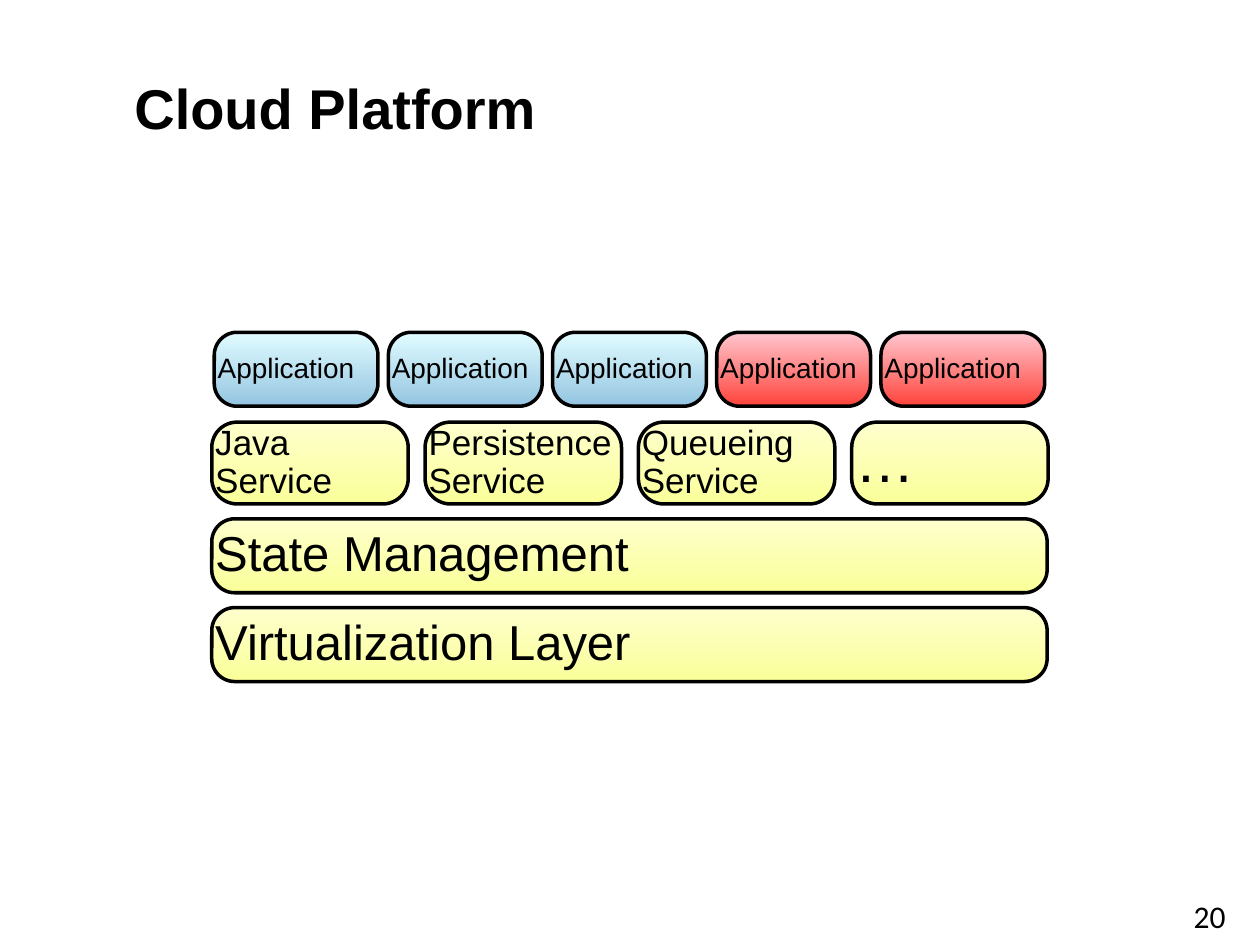
from pptx import Presentation
from pptx import util as u
from pptx.dml.color import RGBColor
from pptx.enum import shapes, text

COLORS = {"ink": "000000"}
GRADIENTS = {
    "blue": {"top": "E1FCFF", "bottom": "94C5E1"},
    "red": {"top": "FFC7CF", "bottom": "FF443C"},
    "yellow": {"top": "FEFFCC", "bottom": "FAFF99"},
}

# Each block: lines, font size, gradient, width in cm
APPLICATIONS = [
    (["Application"], 16, tone, width)
    for tone, width in [("blue", 3.3), ("blue", 3.1), ("blue", 3.1),
                        ("red", 3.1), ("red", 3.3)]
]
SERVICES = [
    (["Java", "Service"], 20, "yellow", 3.96),
    (["Persistence", "Service"], 20, "yellow", 3.96),
    (["Queueing", "Service"], 20, "yellow", 3.96),
    (["…"], 34, "yellow", 3.96),
]
STATE = [(["State Management"], 28, "yellow", 16.84)]
VIRTUALIZATION = [(["Virtualization Layer"], 28, "yellow", 16.84)]

# Each tier: blocks, left, top, height, gap in cm
TIERS = [
    (APPLICATIONS, 4.32, 6.7, 1.49, 0.21),
    (SERVICES, 4.27, 8.51, 1.65, 0.34),
    (STATE, 4.27, 10.46, 1.49, 0),
    (VIRTUALIZATION, 4.27, 12.25, 1.49, 0),
]
CORNER = 0.31
LABEL_INSET = 0.07

HEADING_FRAME = {"margin_left": u.Cm(0.25), "margin_right": u.Cm(0.25),
                 "margin_top": u.Cm(0.13), "margin_bottom": u.Cm(0.13)}
LABEL_FRAME = {"margin_left": 0, "margin_right": 0,
               "margin_top": 0, "margin_bottom": 0}


def rgb(name):
    return RGBColor.from_string(COLORS[name])


def set_all(target, values):
    for key, value in values.items():
        setattr(target, key, value)


def add_text(parent, box, lines, frame_format, font_format, paragraph_format,
             anchor=text.MSO_ANCHOR.MIDDLE):
    frame = parent.add_textbox(*map(u.Cm, box)).text_frame
    set_all(frame, {"word_wrap": True, "vertical_anchor": anchor, **frame_format})
    frame.text = "\n".join(lines)
    for paragraph in frame.paragraphs:
        set_all(paragraph, paragraph_format)
        for run in paragraph.runs:
            set_all(run.font, font_format)
            run.font.color.rgb = rgb("ink")


def add_block(slide, left, top, width, height, lines, size, tone):
    """Group a rounded gradient box with its label."""
    block = slide.shapes.add_group_shape().shapes
    box = block.add_shape(shapes.MSO_SHAPE.ROUNDED_RECTANGLE,
                          *map(u.Cm, (left, top, width, height)))
    box.adjustments[0] = CORNER
    box.shadow.inherit = False
    box.fill.gradient()
    box.fill.gradient_angle = 270
    for stop, color in zip(box.fill.gradient_stops, GRADIENTS[tone].values()):
        stop.color.rgb = RGBColor.from_string(color)
    box.line.color.rgb = rgb("ink")
    box.line.width = u.Pt(2)
    label = (left + LABEL_INSET, top, width - 2 * LABEL_INSET, height)
    add_text(block, label, lines, LABEL_FRAME,
             {"name": "Arial", "size": u.Pt(size)},
             {"line_spacing": 0.9, "alignment": text.PP_ALIGN.LEFT})


def main():
    deck = Presentation()
    deck.slide_width, deck.slide_height = u.Cm(25.4), u.Cm(19.05)
    slide = deck.slides.add_slide(deck.slide_layouts[6])

    add_text(slide.shapes, (23.75, 18.03, 1.27, 0.71), ["20"], HEADING_FRAME,
             {"name": "Calibri", "size": u.Pt(18)},
             {"line_spacing": 0.9, "alignment": text.PP_ALIGN.CENTER},
             anchor=text.MSO_ANCHOR.TOP)
    add_text(slide.shapes, (2.46, 0.84, 21.06, 2.62), ["Cloud Platform"],
             HEADING_FRAME, {"name": "Arial", "size": u.Pt(32), "bold": True},
             {"alignment": text.PP_ALIGN.LEFT})

    for blocks, left, top, height, gap in TIERS:
        for lines, size, tone, width in blocks:
            add_block(slide, left, top, width, height, lines, size, tone)
            left += width + gap

    deck.save("out.pptx")


if __name__ == "__main__":
    main()
